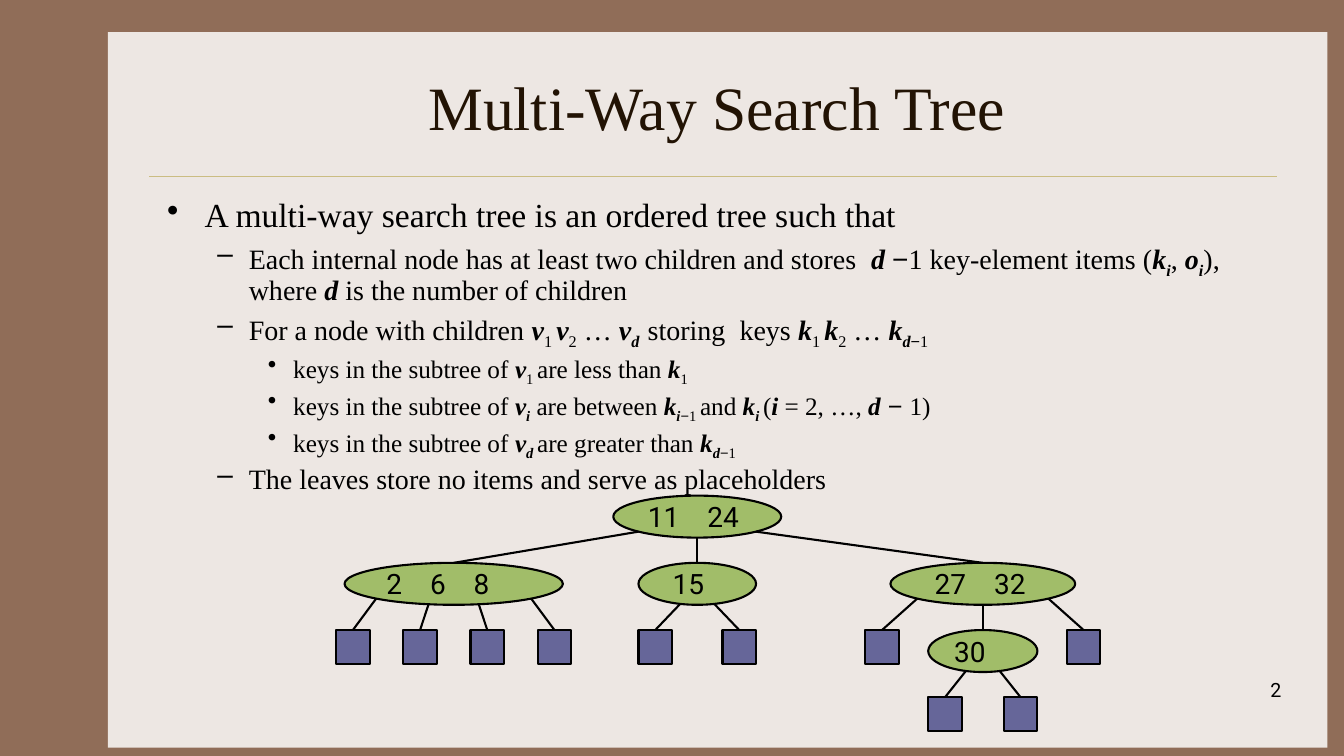
from math import sqrt

from lxml.etree import SubElement
from pptx import Presentation
from pptx.dml.color import RGBColor
from pptx.enum.shapes import MSO_CONNECTOR, MSO_SHAPE
from pptx.enum.text import MSO_ANCHOR, PP_ALIGN
from pptx.oxml.ns import qn
from pptx.util import Cm, Pt

COLORS = {"frame": "906D58", "panel": "EDE7E3", "rule": "CBBD83", "title": "221304",
          "text": "000000", "node": "A1BD69", "leaf": "666699"}
SERIF, SANS = "Times New Roman", "Roboto"

# Each piece between bars may open with one of these style marks.
MARKS = {"*": {"bold": True, "italic": True},
         "_": {"bold": True, "italic": True, "baseline": -25000},
         "~": {"baseline": -25000},
         "=": {"name": "Arial"},
         "-": {"name": "Arial", "baseline": -25000}}

LEVELS = [{"bullet": "•", "margin": 0.95, "hang": 0.95, "size": 24},
          {"bullet": "–", "margin": 2.06, "hang": 0.79, "size": 20},
          {"bullet": "•", "margin": 3.18, "hang": 0.64, "size": 18}]

POINTS = [
    (0, "A multi-way search tree is an ordered tree such that"),
    (1, "Each internal node has at least two children and stores  |*d |=−|1 key-element items (|"
        "*k|_i|, |*o|_i|), where |*d |is the number of children"),
    (1, "For a node with children |*v|~1 |*v|~2| … |*v|_d  |storing  keys |"
        "*k|~1 |*k|~2| … |*k|_d|-−|~1"),
    (2, "keys in the subtree of |*v|~1 |are less than |*k|~1"),
    (2, "keys in the subtree of |*v|_i| are between |*k|_i|-−|~1 |and |*k|_i |(|*i| = 2, …, |"
        "*d|= − |1)"),
    (2, "keys in the subtree of |*v|_d |are greater than |*k|_d|-−|~1"),
    (1, "The leaves store no items and serve as placeholders"),
]

UNIT = 2.54 / 12
NODE_H, LEAF, STEP = 5, 4, 8


def leaf(x):
    """Describe a placeholder leaf centred at x."""
    return {"x": x, "keys": []}


def node(x, width, keys, kids, pad=0):
    """Describe an internal node; kids pairs an exit fraction with each child."""
    return {"x": x, "width": width, "keys": keys, "kids": kids, "pad": pad}


TREE = node(43, 20, ["11", "24"], [
    (-0.7, node(14, 26, ["2", "6", "8"],
                [(-0.71, leaf(2)), (-0.23, leaf(10)), (0.23, leaf(18)), (0.71, leaf(26))])),
    (0, node(43, 14, ["15"], [(-0.29, leaf(38)), (0.29, leaf(48))], 0.18)),
    (0.7, node(77, 22, ["27", "32"], [
        (-0.71, leaf(65)),
        (0, node(77, 13, ["30"], [(-0.31, leaf(72.5)), (0.31, leaf(81.5))])),
        (0.71, leaf(89))], 0.18)),
])


def rgb(key):
    """Return the named colour."""
    return RGBColor.from_string(COLORS[key])


def add_run(p, text, color="text", **fmt):
    """Add a run and apply its format values."""
    r = p.add_run()
    r.text = text
    baseline = fmt.pop("baseline", None)
    for attr, value in fmt.items():
        setattr(r.font, attr, value)
    r.font.color.rgb = rgb(color)
    if baseline:
        r._r.get_or_add_rPr().set("baseline", str(baseline))


def add_box(s, box, anchor=MSO_ANCHOR.TOP):
    """Add a wrapping text box and return its frame."""
    tf = s.shapes.add_textbox(*map(Cm, box)).text_frame
    tf.word_wrap, tf.vertical_anchor = True, anchor
    return tf


def add_shape(s, kind, box, fill, line=None):
    """Add a flat filled shape, outlined if a line colour is given."""
    sp = s.shapes.add_shape(kind, *map(Cm, box))
    sp.shadow.inherit = False
    sp.fill.solid()
    sp.fill.fore_color.rgb = rgb(fill)
    if line:
        sp.line.color.rgb, sp.line.width = rgb(line), Pt(1.5)
    else:
        sp.line.fill.background()
    return sp


def add_line(s, x1, y1, x2, y2, color="text", width=1.5):
    """Add a straight line without shadow."""
    c = s.shapes.add_connector(MSO_CONNECTOR.STRAIGHT, *map(Cm, (x1, y1, x2, y2)))
    c.line.color.rgb, c.line.width = rgb(color), Pt(width)
    SubElement(c._element.spPr, qn("a:effectLst"))
    return c


def add_backdrop(s, box):
    """Paint the frame colour, the panel and the rule under the title."""
    s.background.fill.solid()
    s.background.fill.fore_color.rgb = rgb("frame")
    add_shape(s, MSO_SHAPE.RECTANGLE, box, "panel")
    x, y, w, h = box
    add_line(s, x + 1.04, y + 3.64, x + w - 1.27, y + 3.64, "rule", 0.25)


def add_label(s, box, text, align, anchor=MSO_ANCHOR.TOP, **fmt):
    """Add a one-line text such as the title or the slide number."""
    p = add_box(s, box, anchor).paragraphs[0]
    p.alignment = align
    add_run(p, text, **fmt)


def add_points(s, box, points):
    """Add the bulleted list with its marked-up pieces."""
    tf = add_box(s, box)
    for i, (level, text) in enumerate(points):
        p = tf.add_paragraph() if i else tf.paragraphs[0]
        lv = LEVELS[level]
        pPr = p._p.get_or_add_pPr()
        pPr.set("marL", str(Cm(lv["margin"])))
        pPr.set("indent", str(-Cm(lv["hang"])))
        SubElement(pPr, qn("a:buChar")).set("char", lv["bullet"])
        p.level, p.line_spacing = level, 0.9
        if i:
            p.space_before = Pt(lv["size"] * 0.24)
        for piece in text.split("|"):
            mark = MARKS.get(piece[0], {})
            fmt = {"name": SERIF, "size": Pt(lv["size"]), **mark}
            add_run(p, piece[1:] if mark else piece, **fmt)


def add_keys(sp, keys, pad):
    """Write the keys of a node at even tab stops."""
    tf = sp.text_frame
    tf.word_wrap, tf.vertical_anchor = True, MSO_ANCHOR.MIDDLE
    tf.margin_left = Cm(0.25 + pad)
    tf.margin_right = 0
    p = tf.paragraphs[0]
    p.alignment = PP_ALIGN.LEFT
    tabs = SubElement(p._p.get_or_add_pPr(), qn("a:tabLst"))
    for i in range(1, len(keys)):
        stop = SubElement(tabs, qn("a:tab"))
        stop.set("pos", str(Cm(i * (0.7 + 0.4 * len(keys[0])))))
        stop.set("algn", "l")
    add_run(p, "\t".join(keys), name=SANS, size=Pt(20))


def add_tree(s, left, top, tree):
    """Draw a node, its subtrees and the edges to them; return the node shape."""
    x = left + tree["x"] * UNIT
    if not tree["keys"]:
        side = LEAF * UNIT
        return add_shape(s, MSO_SHAPE.RECTANGLE, (x - side / 2, top, side, side), "leaf", "text")
    w, h = tree["width"] * UNIT, NODE_H * UNIT
    sp = add_shape(s, MSO_SHAPE.OVAL, (x - w / 2, top, w, h), "node", "text")
    add_keys(sp, tree["keys"], tree["pad"])
    for exit_at, kid in tree["kids"]:
        below = top + STEP * UNIT
        child = add_tree(s, left, below, kid)
        exit_y = top + h / 2 * (1 + sqrt(1 - exit_at ** 2))
        edge = add_line(s, x + exit_at * w / 2, exit_y, left + kid["x"] * UNIT, below)
        edge.end_connect(child, 0)
    return sp


def main():
    """Build the slide and save it."""
    prs = Presentation()
    prs.slide_width, prs.slide_height = Cm(33.87), Cm(19.05)
    s = prs.slides.add_slide(prs.slide_layouts[6])
    add_backdrop(s, (2.72, 0.81, 30.73, 18.03))
    add_label(s, (3.96, 1.07, 28.22, 3.18), "Multi-Way Search Tree", PP_ALIGN.CENTER,
              MSO_ANCHOR.MIDDLE, color="title", name=SERIF, size=Pt(44))
    add_points(s, (3.96, 4.88, 28.22, 11.43), POINTS)
    add_label(s, (25.48, 16.97, 7.06, 1.27), "2", PP_ALIGN.RIGHT, name=SANS, size=Pt(14))
    add_tree(s, 8.47, 12.49, TREE)
    prs.save("out.pptx")


if __name__ == "__main__":
    main()
